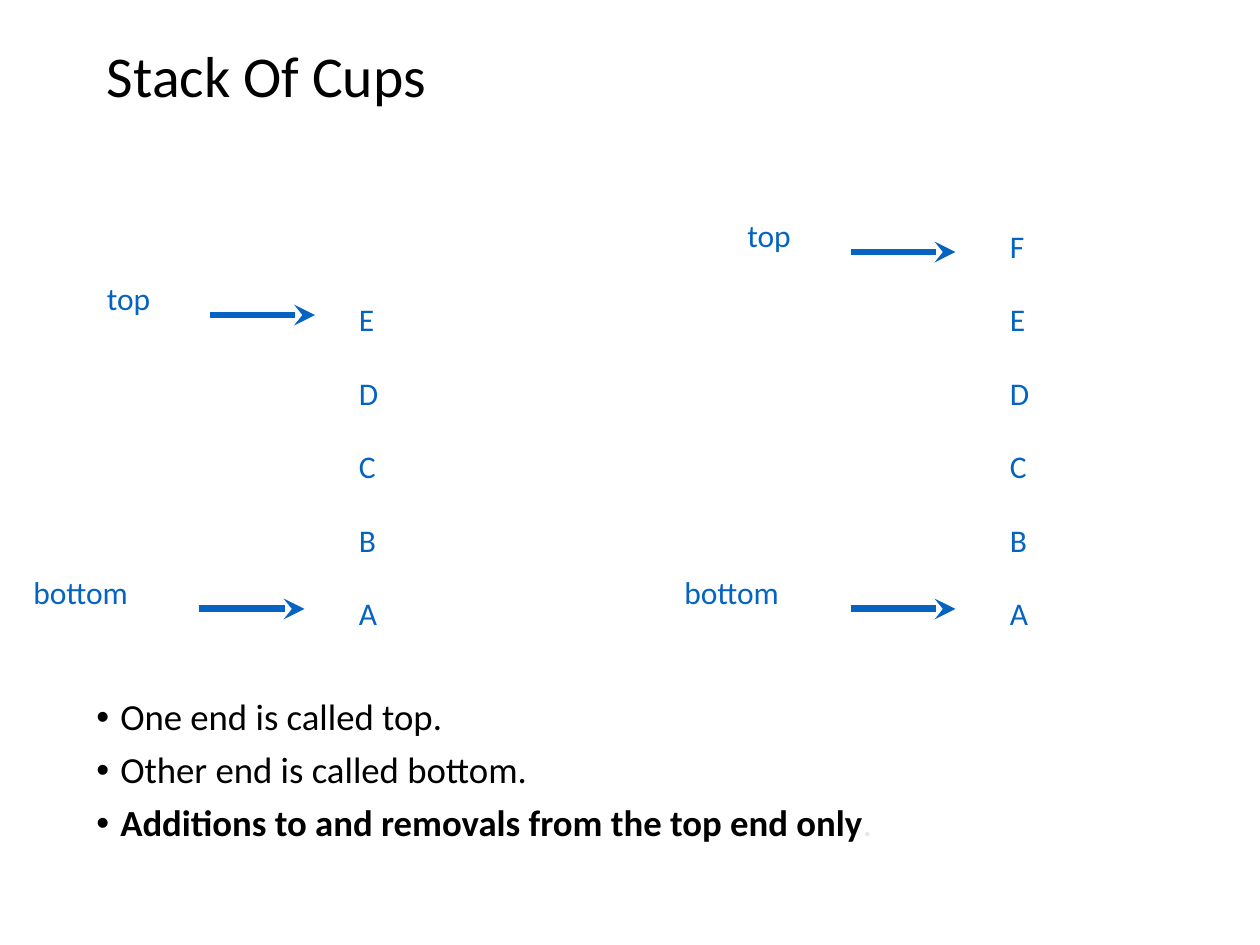
from lxml.etree import SubElement as Sub
from pptx import Presentation
from pptx.dml.color import RGBColor as RGB
from pptx.enum.shapes import MSO_CONNECTOR as Conn
from pptx.enum.text import MSO_ANCHOR as Anchor
from pptx.oxml.ns import qn
from pptx.util import Inches, Pt

# Content: cups run from bottom to top
TITLE = "Stack Of Cups"
POINTS = [
    [("One end is called top.", {})],
    [("Other end is called bottom.", {})],
    [("Additions to and removals from the top end only", {"bold": True}),
     (".", {"color": "pale"})],
]
# Columns and rows count on a grid of twelve cells to the inch;
# each mark holds its text, column, row, width and arrow start
STACKS = [
    {"cups": "ABCDEF", "col": 95,
     "marks": [("bottom", 64, 54, 18, 81), ("top", 70, 20, 12, 81)]},
    {"cups": "ABCDE", "col": 33,
     "marks": [("bottom", 2, 54, 18, 19), ("top", 9, 26, 12, 20)]},
]
BASE, STEP = 56, 7      # row of the lowest cup, rows between cups
DROP, REACH = 4, 10     # arrow below its label's top, arrow length

THEME = {
    "font": "Calibri",
    "ink": RGB.from_string("000000"),
    "blue": RGB.from_string("0563C1"),
    "pale": RGB.from_string("E7E6E6"),
    "title": Pt(33), "body": Pt(21), "label": Pt(18), "line": Pt(4),
}


def cell(n):
    return Inches(n / 12)


def write(shapes, text, at, size="label", color="blue", anchor=Anchor.TOP,
          bullet=False, lead=None, gap=0):
    """Text is a string, or a list of paragraphs made of (words, format)."""
    box = shapes.add_textbox(*map(cell, at))
    frame = box.text_frame
    frame.word_wrap, frame.vertical_anchor = True, anchor
    paras = [[(text, {})]] if isinstance(text, str) else text
    for i, runs in enumerate(paras):
        para = frame.add_paragraph() if i else frame.paragraphs[0]
        if bullet:
            props = para._p.get_or_add_pPr()
            dent = Inches(0.19)
            props.set("marL", str(dent))
            props.set("indent", str(-dent))
            Sub(props, qn("a:buFont"), typeface="Arial")
            Sub(props, qn("a:buChar"), char="•")
        if lead:
            para.line_spacing = lead
        if i:
            para.space_before = Pt(gap)
        for words, form in runs:
            run = para.add_run()
            run.text = words
            font = run.font
            font.name, font.size = THEME["font"], THEME[size]
            font.bold = form.get("bold", False)
            font.color.rgb = THEME[form.get("color", color)]


def arrow(shapes, col, row):
    link = shapes.add_connector(Conn.STRAIGHT, cell(col), cell(row),
                                cell(col + REACH), cell(row))
    link.line.color.rgb, link.line.width = THEME["blue"], THEME["line"]
    Sub(link.line._get_or_add_ln(), qn("a:tailEnd"), type="stealth")
    Sub(link._element.spPr, qn("a:effectLst"))


def main():
    deck = Presentation()
    deck.slide_width, deck.slide_height = Inches(10), Inches(7.5)
    slide = deck.slides.add_slide(deck.slide_layouts[6])

    # Title and points
    write(slide.shapes, TITLE, (9, 2, 102, 11), size="title", color="ink",
          anchor=Anchor.MIDDLE, lead=0.9)
    write(slide.shapes, POINTS, (8, 66, 102, 7), size="body", color="ink",
          bullet=True, lead=0.9, gap=7.5)

    # Each stack is a group of marks with arrows and a column of cups
    for stack in STACKS:
        parts = slide.shapes.add_group_shape().shapes
        for text, col, row, width, start in stack["marks"]:
            write(parts, text, (col, row, width, 7.5))
            arrow(parts, start, row + DROP)
        for i, cup in enumerate(stack["cups"]):
            write(parts, cup, (stack["col"], BASE - i * STEP, 7, 4.8))

    deck.save("out.pptx")


if __name__ == "__main__":
    main()
